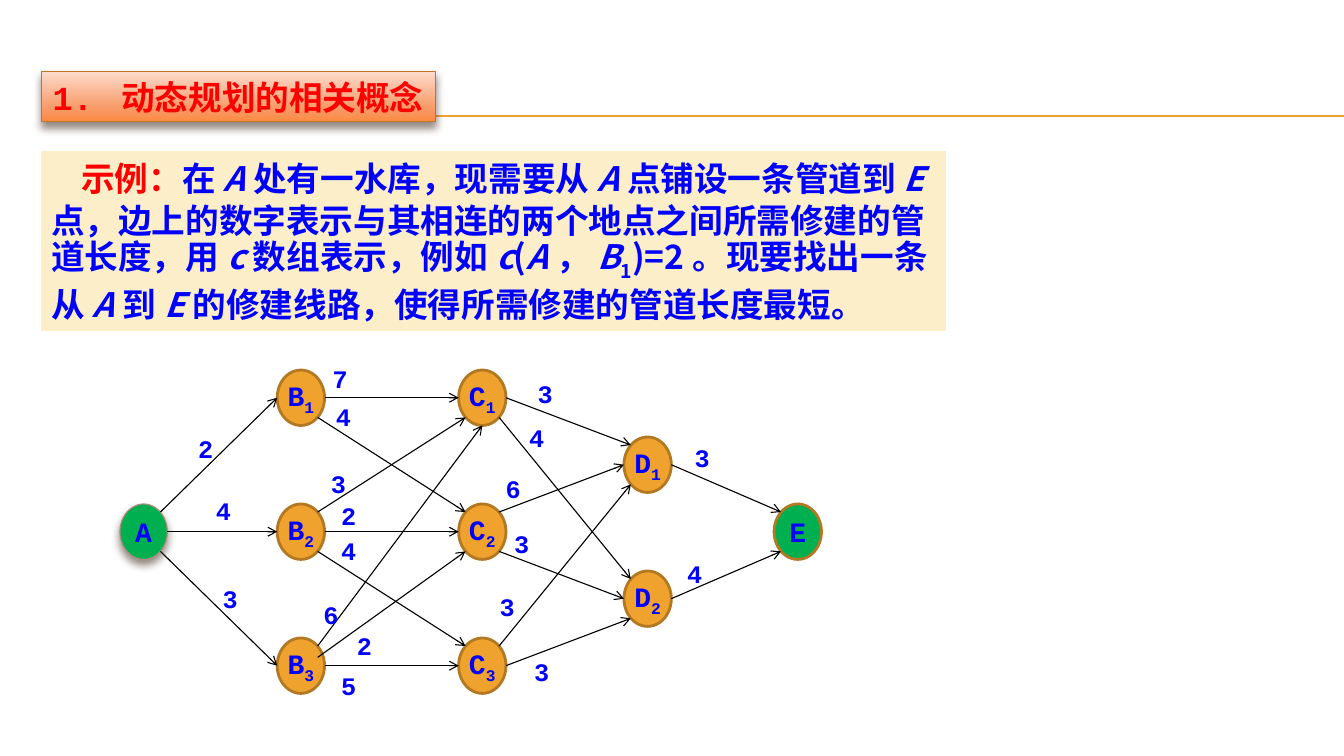
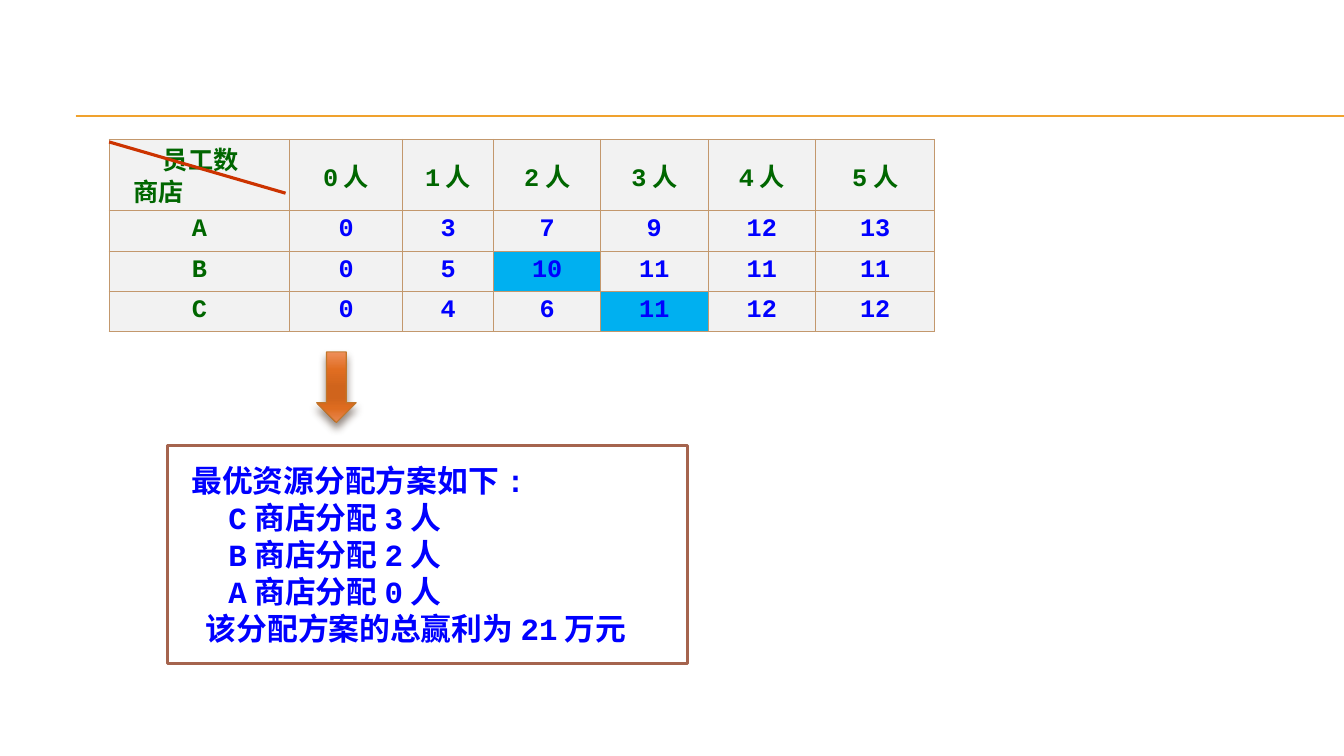
from dataclasses import dataclass

from lxml import etree
from pptx import Presentation
from pptx import util as u
from pptx.dml.color import RGBColor
from pptx.enum import shapes, text
from pptx.oxml import ns

COLS, ROWS = 160, 90
GRID = u.Inches(1) // 12
SHAPE = shapes.MSO_SHAPE
ALIGN = text.PP_ALIGN
ANCHOR = text.MSO_ANCHOR


@dataclass(frozen=True)
class Theme:
    latin: str = "Courier New"
    cjk: str = "Noto Sans CJK SC"
    ink: str = "0000FF"
    red: str = "FF0000"
    green: str = "006600"
    gold: str = "F0A22E"
    gold_edge: str = "B27822"
    terminal: str = "00B050"
    terminal_edge: str = "B58B80"
    black: str = "000000"
    white: str = "FFFFFF"
    cream: str = "FBEEC9"
    brown: str = "A5644E"
    cell: str = "F2F2F2"
    chosen: str = "00B0F0"
    cell_edge: str = "C3986D"
    slash: str = "CC3300"
    raised_edge: str = "C17529"
    shadow: str = "4E3B30"
    title_fade: tuple = ((0, "FDDBCC"), (72, "F89B69"), (100, "FC8A43"))
    arrow_fade: tuple = ((0, "EE8F5B"), (25, "E06D21"), (50, "D0641C"),
                         (65, "D0641C"), (80, "DE6C20"), (100, "E88852"))
    title_size: int = 24
    result_size: int = 22
    node_size: int = 20
    small_size: int = 18
    thin: float = 0.79
    thick: float = 2


def grid(n):
    return u.Emu(round(n * GRID))


def rgb(color):
    return RGBColor.from_string(color)


def add_xml(parent, tag, **attrs):
    return etree.SubElement(parent, ns.qn(tag), {k: str(v) for k, v in attrs.items()})


class Deck:
    """Style and current slide; every length is in grid units."""

    def __init__(self, theme):
        self.theme = theme
        self.prs = Presentation()
        self.prs.slide_width, self.prs.slide_height = grid(COLS), grid(ROWS)

    def new_slide(self):
        self.slide = self.prs.slides.add_slide(self.prs.slide_layouts[6])
        for y in (13.8, 13.9):
            self.line((9, y), (COLS, y), self.theme.gold, 0.75)

    def line(self, start, end, color, width, arrow=False):
        cx = self.slide.shapes.add_connector(
            shapes.MSO_CONNECTOR.STRAIGHT, *map(grid, (*start, *end)))
        cx.line.color.rgb, cx.line.width = rgb(color), u.Pt(width)
        if arrow:
            add_xml(cx.line._get_or_add_ln(), "a:tailEnd", type="arrow")
        add_xml(cx._element.spPr, "a:effectLst")

    def shape(self, kind, box, fill, edge=None, width=0, raised=False):
        """Add a shape; fill is a colour or a sequence of gradient stops."""
        sp = self.slide.shapes.add_shape(kind, *map(grid, box))
        sp.shadow.inherit = False
        if isinstance(fill, str):
            sp.fill.solid()
            sp.fill.fore_color.rgb = rgb(fill)
        else:
            self.fade(sp, fill)
        if edge:
            sp.line.color.rgb, sp.line.width = rgb(edge), u.Pt(width)
        else:
            sp.line.fill.background()
        if raised:
            effects = sp._element.spPr.find(ns.qn("a:effectLst"))
            shadow = add_xml(effects, "a:outerShdw", blurRad=u.Pt(6), dist=u.Pt(4),
                             dir=5400000, rotWithShape=0)
            color = add_xml(shadow, "a:srgbClr", val=self.theme.shadow)
            add_xml(color, "a:alpha", val=60000)
        return sp

    def fade(self, sp, stops):
        sp.fill.gradient()
        sp.fill.gradient_angle = 270
        gs_list = sp._element.spPr.find(ns.qn("a:gradFill")).find(ns.qn("a:gsLst"))
        for gs in list(gs_list):
            gs_list.remove(gs)
        for pos, color in stops:
            add_xml(add_xml(gs_list, "a:gs", pos=pos * 1000), "a:srgbClr", val=color)

    def frame(self, tf, insets=(0, 0, 0, 0), wrap=True, anchor=ANCHOR.TOP):
        (tf.margin_left, tf.margin_top,
         tf.margin_right, tf.margin_bottom) = map(grid, insets)
        tf.word_wrap, tf.vertical_anchor = wrap, anchor
        return tf

    def para(self, tf, runs, size, color=None, align=ALIGN.LEFT, spacing=None,
             indent=0, latin=None):
        """Add a paragraph; runs are (text, style), style one of '', i, sub, red."""
        p = tf.paragraphs[0]
        if p.runs:
            p = tf.add_paragraph()
        p.alignment = align
        if spacing:
            p.line_spacing = u.Pt(spacing)
        if indent:
            p._p.get_or_add_pPr().set("indent", str(grid(indent)))
        for content, style in runs:
            r = p.add_run()
            r.text = content
            f = r.font
            f.size, f.bold, f.italic = u.Pt(size), True, style == "i"
            f.name = latin or self.theme.latin
            f.color.rgb = rgb(self.theme.red if style == "red" else color or self.theme.ink)
            rpr = r._r.get_or_add_rPr()
            add_xml(rpr, "a:ea", typeface=self.theme.cjk)
            if style == "sub":
                rpr.set("baseline", "-25000")

    def title(self, content):
        t = self.theme
        sp = self.shape(SHAPE.RECTANGLE, (4.9, 8.5, 46.9, 6), t.title_fade,
                        t.raised_edge, t.thin, raised=True)
        tf = self.frame(sp.text_frame, wrap=False, anchor=ANCHOR.MIDDLE)
        self.para(tf, [(content, "")], t.title_size, t.red, ALIGN.CENTER)

    def label(self, x, y, content):
        tb = self.slide.shapes.add_textbox(*map(grid, (x, y, 2.76, 3.6)))
        self.para(self.frame(tb.text_frame, wrap=False), [(content, "")],
                  self.theme.small_size)

    def node(self, name, center, size, fill, edge, width, raised):
        (x, y), (w, h) = center, size
        sp = self.shape(SHAPE.OVAL, (x - w / 2, y - h / 2, w, h), fill, edge, width, raised)
        tf = self.frame(sp.text_frame, (0, 0.6, 0, 0.6), anchor=ANCHOR.MIDDLE)
        runs = [(name[0], "")] + [(digit, "sub") for digit in name[1:]]
        self.para(tf, runs, self.theme.node_size, align=ALIGN.CENTER)

    def table(self, left, top, widths, heights):
        gf = self.slide.shapes.add_table(
            len(heights), len(widths),
            *map(grid, (left, top, sum(widths), sum(heights))))
        for col, width in zip(gf.table.columns, widths):
            col.width = grid(width)
        for row, height in zip(gf.table.rows, heights):
            row.height = grid(height)
        return gf.table

    def cell(self, cell, fill):
        """Give a cell its fill and four borders."""
        tc_pr = cell._tc.get_or_add_tcPr()
        for i, side in enumerate("LRTB"):
            ln = etree.Element(ns.qn("a:ln" + side), w=str(u.Pt(self.theme.thin)))
            add_xml(add_xml(ln, "a:solidFill"), "a:srgbClr", val=self.theme.cell_edge)
            tc_pr.insert(i, ln)
        cell.fill.solid()
        cell.fill.fore_color.rgb = rgb(fill)
        return cell.text_frame


STAGE_X = {"A": 17.1, "B": 35.82, "C": 57.42, "D": 77.1, "E": 94.98}
MIDDLE_Y, ROW_GAP = 63.3, 15.95
STAGE_SIZE = {"A": 1, "B": 3, "C": 3, "D": 2, "E": 1}
NODE = (5.64, 6.6)
SIDES = {"e": (1, 0), "w": (-1, 0), "s": (0, 1),
         "ne": (0.71, -0.71), "se": (0.71, 0.71), "nw": (-0.71, -0.71),
         "sw": (-0.71, 0.71), "ene": (0.71, -0.3)}
# from, side, to, side, length, label x, label y
PIPES = [
    ("A", "ne", "B1", "w", 2, 23.6, 51.6), ("A", "e", "B2", "w", 4, 25.7, 59),
    ("A", "se", "B3", "w", 3, 26.5, 69.4), ("B1", "e", "C1", "w", 7, 39.6, 43.2),
    ("B1", "se", "C2", "nw", 4, 40, 47.8), ("B2", "ne", "C1", "sw", 3, 39.4, 55.7),
    ("B2", "e", "C2", "w", 2, 40.6, 59.6), ("B2", "se", "C3", "nw", 4, 40.6, 63.7),
    ("B3", "ne", "C1", "s", 6, 38.5, 71.4), ("B3", "ene", "C2", "sw", 2, 42.5, 75),
    ("B3", "e", "C3", "w", 5, 40.6, 79.8), ("C1", "e", "D1", "nw", 3, 64, 45),
    ("C1", "se", "D2", "nw", 4, 63, 50.3), ("C2", "ne", "D1", "w", 6, 60.2, 56.4),
    ("C2", "se", "D2", "w", 3, 61.2, 62.9), ("C3", "ne", "D1", "sw", 3, 59.5, 70.4),
    ("C3", "e", "D2", "sw", 3, 63.6, 78.1), ("D1", "e", "E", "nw", 3, 82.7, 52.6),
    ("D2", "e", "E", "sw", 4, 81.8, 66.5),
]
EXAMPLE = [
    ("示例：", "red"), ("在", ""), ("A", "i"), ("处有一水库，现需要从", ""), ("A", "i"),
    ("点铺设一条管道到", ""), ("E", "i"),
    ("点，边上的数字表示与其相连的两个地点之间所需修建的管道长度，用", ""), ("c", "i"),
    ("数组表示，例如", ""), ("c", "i"), ("(", ""), ("A", "i"), ("，", ""), ("B", "i"),
    ("1", "sub"), (")=2。现要找出一条从", ""), ("A", "i"), ("到", ""), ("E", "i"),
    ("的修建线路，使得所需修建的管道长度最短。", ""),
]
PROFITS = {"A": (0, 3, 7, 9, 12, 13), "B": (0, 5, 10, 11, 11, 11),
           "C": (0, 4, 6, 11, 12, 12)}
CHOSEN = {("B", 2), ("C", 3)}
RESULT = [("最优资源分配方案如下:", 0), ("C商店分配3人", 4.4), ("B商店分配2人", 4.4),
          ("A商店分配0人", 4.4), ("该分配方案的总赢利为21万元", 1.7)]


def node_centers():
    centers = {}
    for stage, count in STAGE_SIZE.items():
        for i in range(count):
            name = stage if count == 1 else f"{stage}{i + 1}"
            centers[name] = (STAGE_X[stage], MIDDLE_Y + (i - (count - 1) / 2) * ROW_GAP)
    return centers


def pipeline_slide(deck):
    t = deck.theme
    deck.new_slide()
    deck.title("1. 动态规划的相关概念")
    centers = node_centers()
    for name, center in centers.items():
        source = name == "A"
        deck.node(name, center, NODE, t.terminal if name in "AE" else t.gold,
                  t.terminal_edge if source else t.gold_edge,
                  t.thin if source else t.thick, raised=source)

    def rim(name, side):
        return [c + d * n / 2 for c, d, n in zip(centers[name], SIDES[side], NODE)]

    for start, out, end, into, length, x, y in PIPES:
        deck.line(rim(start, out), rim(end, into), t.black, t.thin, arrow=True)
        deck.label(x, y, str(length))
    sp = deck.shape(SHAPE.RECTANGLE, (4.9, 18, 107.7, 21.4), t.cream)
    tf = deck.frame(sp.text_frame, (1.2, 0.6, 1.2, 0.6))
    deck.para(tf, EXAMPLE, t.title_size, spacing=30, indent=3.6, latin=t.cjk)


def allocation_slide(deck):
    t = deck.theme
    deck.new_slide()
    sp = deck.shape(SHAPE.RECTANGLE, (19.9, 53, 62, 26), t.white, t.brown, t.thick)
    tf = deck.frame(sp.text_frame, (2.9, 1.9, 1.2, 1.9))
    for content, indent in RESULT:
        deck.para(tf, [(content, "")], t.result_size, spacing=26.5, indent=indent)
    deck.shape(SHAPE.DOWN_ARROW, (37.7, 41.9, 4.7, 8.4), t.arrow_fade,
               t.raised_edge, t.thin, raised=True)

    table = deck.table(13, 16.6, (21.5, 13.4, 10.9, 12.7, 12.8, 12.8, 14.2),
                       (8.5, 4.8, 4.8, 4.8))
    corner = table.cell(0, 0)
    tf = deck.cell(corner, t.cell)
    corner.margin_bottom = 0
    for content, indent in (("员工数", 5.2), ("商店", 1.7)):
        deck.para(tf, [(content, "")], t.small_size, t.green, spacing=23, indent=indent)
    for staff in range(6):
        cell = table.cell(0, staff + 1)
        cell.vertical_anchor = ANCHOR.MIDDLE
        deck.para(deck.cell(cell, t.cell), [(f"{staff}人", "")], t.small_size,
                  t.green, ALIGN.CENTER)
    for row, (shop, profits) in enumerate(PROFITS.items(), 1):
        for col, value in enumerate((shop, *profits)):
            fill = t.chosen if (shop, col - 1) in CHOSEN else t.cell
            deck.para(deck.cell(table.cell(row, col), fill), [(str(value), "")],
                      t.small_size, t.ink if col else t.green, ALIGN.CENTER)
    deck.line((13, 16.9), (34, 23), t.slash, 2.25)


def main():
    deck = Deck(Theme())
    pipeline_slide(deck)
    allocation_slide(deck)
    deck.prs.save("out.pptx")


if __name__ == "__main__":
    main()
